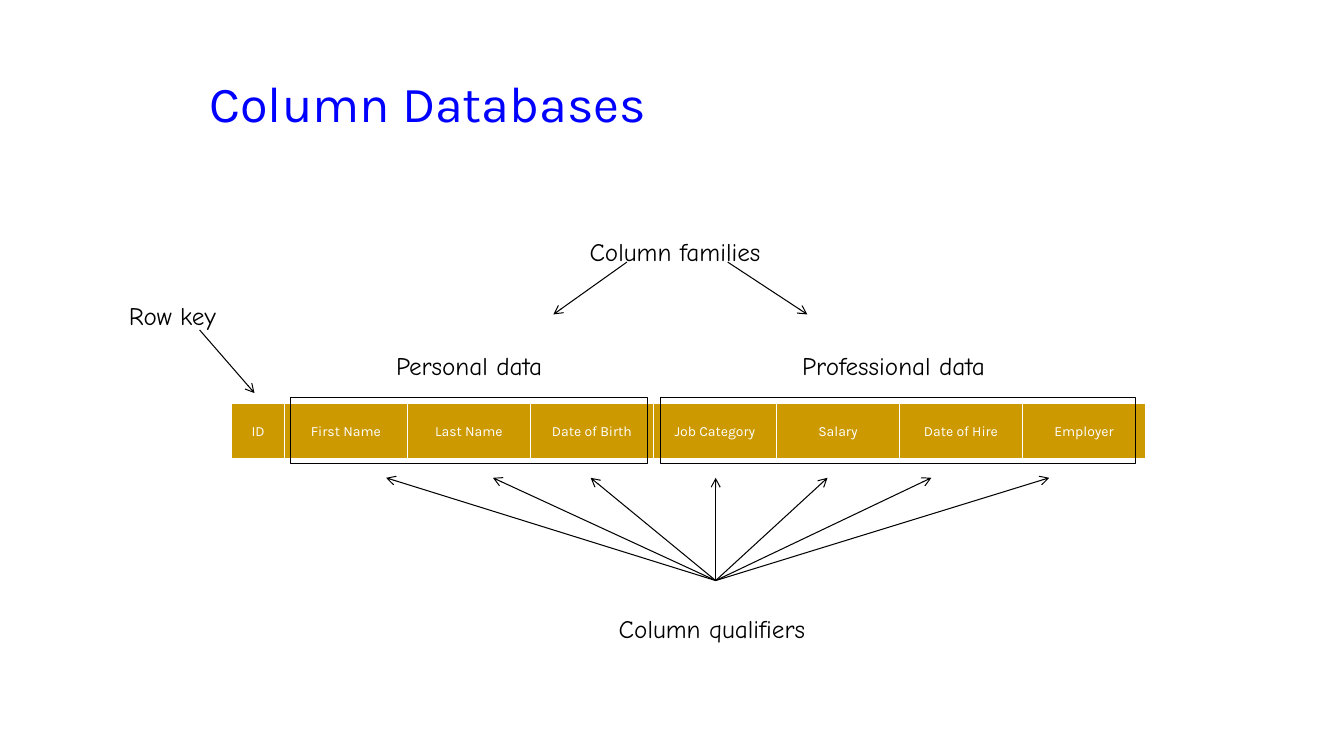
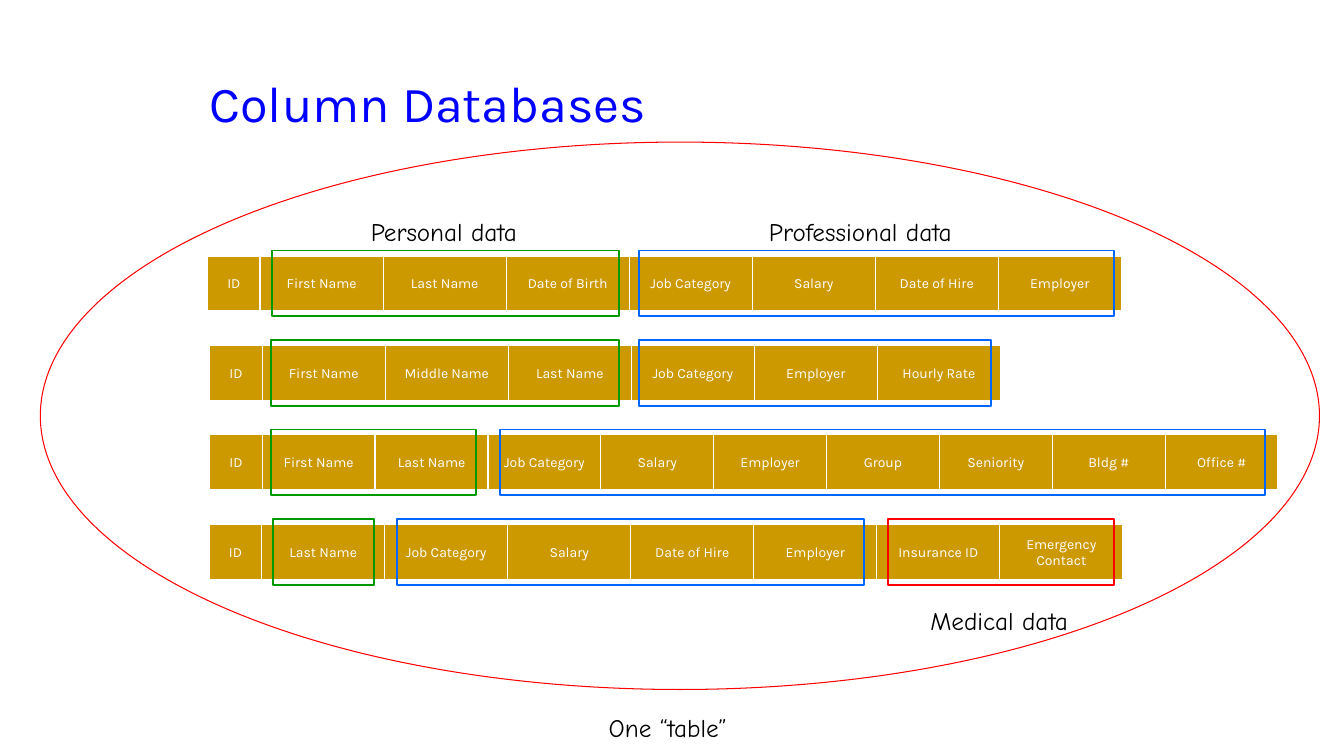
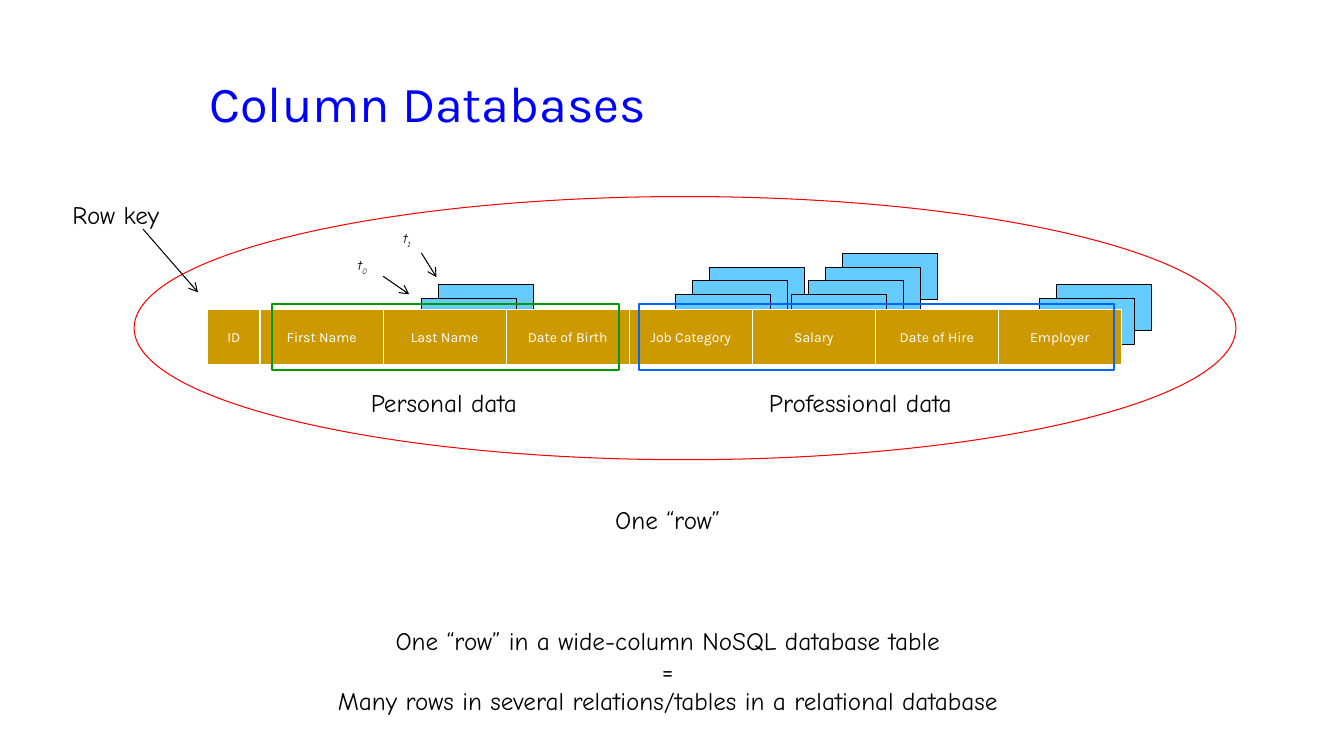
from pptx import Presentation
from pptx import util as u
from pptx.dml.color import RGBColor
from pptx.enum import shapes, text
from pptx.oxml.ns import qn
from lxml import etree

BLACK = RGBColor(0x00, 0x00, 0x00)
WHITE = RGBColor(0xFF, 0xFF, 0xFF)
TITLE_BLUE = RGBColor(0x00, 0x00, 0xFF)
GOLD = RGBColor(0xCC, 0x99, 0x00)
GREEN = RGBColor(0x00, 0x99, 0x00)
BLUE = RGBColor(0x00, 0x66, 0xFF)
RED = RGBColor(0xFF, 0x00, 0x00)
SKY = RGBColor(0x66, 0xCC, 0xFF)
LEFT, CENTER = text.PP_ALIGN.LEFT, text.PP_ALIGN.CENTER

EMPLOYEE = ["ID", "First Name", "Last Name", "Date of Birth",
            "Job Category", "Salary", "Date of Hire", "Employer"]
EMPLOYEE_FAMILIES = [(194.4, 247.7, GREEN), (456.5, 339.1, BLUE)]


class Deck:
    title_font, note_font = "Karla", "Comic Neue"
    row_height, key_width, column_width = 40.3, 37.5, 87.9

    def __init__(self):
        self.show = Presentation()
        self.show.slide_width, self.show.slide_height = u.Pt(960), u.Pt(540)
        self.slide = None

    def new_slide(self, title):
        self.slide = self.show.slides.add_slide(self.show.slide_layouts[6])
        box = self.slide.shapes.add_textbox(u.Pt(142.6), u.Pt(36.7), u.Pt(648), u.Pt(73.4))
        box.text_frame.word_wrap = True
        box.text_frame.vertical_anchor = text.MSO_ANCHOR.MIDDLE
        self.run(box.text_frame.paragraphs[0], title, self.title_font, 36, TITLE_BLUE)

    def run(self, paragraph, words, font, size, color):
        run = paragraph.add_run()
        run.text = words
        run.font.name, run.font.size = font, u.Pt(size)
        run.font.color.rgb = color
        return run

    def note(self, left, top, width, lines, align=LEFT, gap=0):
        box = self.slide.shapes.add_textbox(u.Pt(left), u.Pt(top), u.Pt(width), u.Pt(29))
        frame = box.text_frame
        frame.word_wrap = False
        frame.auto_size = text.MSO_AUTO_SIZE.SHAPE_TO_FIT_TEXT
        for index, line in enumerate(lines):
            paragraph = frame.add_paragraph() if index else frame.paragraphs[0]
            paragraph.alignment = align
            if index == 1 and gap:
                paragraph.space_before = u.Pt(gap)
            self.run(paragraph, line, self.note_font, 18, BLACK)

    def timestamp(self, left, top, index):
        box = self.slide.shapes.add_textbox(u.Pt(left), u.Pt(top), u.Pt(23), u.Pt(19.4))
        box.text_frame.word_wrap = False
        paragraph = box.text_frame.paragraphs[0]
        for words, baseline in (("t", "0"), (index, "-25000")):
            run = self.run(paragraph, words, self.note_font, 10, BLACK)
            run.font.italic = True
            run._r.get_or_add_rPr().set("baseline", baseline)

    def family_names(self, personal, professional, top):
        self.note(personal, top, 128.2, ["Personal data"])
        self.note(professional, top, 161.3, ["Professional data"])

    def row_key(self, left, top):
        self.note(left, top, 82.8, ["Row key"])
        self.arrow((left + 57.6, top + 24.7), (left + 96.8, top + 69.8))

    def arrow(self, start, end):
        line = self.slide.shapes.add_connector(
            shapes.MSO_CONNECTOR.STRAIGHT, *(u.Pt(value) for value in (*start, *end)))
        line.line.color.rgb, line.line.width = BLACK, u.Pt(0.75)
        etree.SubElement(line.line._get_or_add_ln(), qn("a:tailEnd"), type="arrow")
        etree.SubElement(line._element.spPr, qn("a:effectLst"))

    def outline(self, kind, left, top, width, height, color, weight=0.75, fill=None):
        shape = self.slide.shapes.add_shape(
            kind, *(u.Pt(value) for value in (left, top, width, height)))
        shape.shadow.inherit = False
        shape.line.color.rgb, shape.line.width = color, u.Pt(weight)
        if fill is None:
            shape.fill.background()
        else:
            shape.fill.solid()
            shape.fill.fore_color.rgb = fill

    def rectangle(self, *place, **style):
        self.outline(shapes.MSO_SHAPE.RECTANGLE, *place, **style)

    def ellipse(self, *place):
        self.outline(shapes.MSO_SHAPE.OVAL, *place, RED)

    def versions(self, left, top, count):
        for step in reversed(range(count)):
            self.rectangle(left + 12.24 * step, top - 9.85 * step, 68, 33, BLACK, fill=SKY)

    def record(self, left, top, names, column_width=column_width):
        widths = [self.key_width] + [column_width] * (len(names) - 1)
        table = self.slide.shapes.add_table(
            1, len(names), u.Pt(left), u.Pt(top), u.Pt(sum(widths)), u.Pt(self.row_height)).table
        table.first_row = table.horz_banding = False
        for index, (name, width) in enumerate(zip(names, widths)):
            table.columns[index].width = u.Pt(width)
            cell = table.cell(0, index)
            cell.margin_left = cell.margin_right = u.Pt(9.6)
            cell.margin_top = cell.margin_bottom = u.Pt(3.6)
            cell.vertical_anchor = text.MSO_ANCHOR.MIDDLE
            self.borders(cell)
            cell.fill.solid()
            cell.fill.fore_color.rgb = GOLD
            paragraph = cell.text_frame.paragraphs[0]
            paragraph.alignment = CENTER
            self.run(paragraph, name, self.title_font, 10, WHITE)

    def borders(self, cell):
        properties = cell._tc.get_or_add_tcPr()
        for side, weight in (("L", 1), ("R", 1), ("T", 1), ("B", 3)):
            border = etree.SubElement(properties, qn("a:ln" + side), w=str(u.Pt(weight)))
            fill = etree.SubElement(border, qn("a:solidFill"))
            etree.SubElement(fill, qn("a:srgbClr"), val=str(WHITE))

    def families(self, record_top, frames, weight=1.25):
        for left, width, color in frames:
            self.rectangle(left, record_top - 3.8, width, 47, color, weight=weight)


def structure(deck):
    deck.new_slide("Column Databases")
    deck.record(165.6, 288, EMPLOYEE)
    deck.family_names(275.8, 565.9, 247)
    deck.row_key(85, 211)
    deck.note(414, 164.9, 144.7, ["Column families"])
    deck.arrow((447.8, 187.2), (395.3, 224.6))
    deck.arrow((519.8, 187.2), (576.7, 224.6))
    deck.note(434.9, 434.2, 158.4, ["Column qualifiers"])
    for qualifier in (275.8, 352.1, 421.9, 511.2, 591.1, 665.3, 749.5):
        deck.arrow((511.2, 414.7), (qualifier, 341.3))
    deck.families(288, [(207.4, 254.9, BLACK), (471.6, 339.8, BLACK)], 0.75)


def one_table(deck):
    deck.new_slide("Column Databases")
    records = [
        (148.3, EMPLOYEE, 87.9, EMPLOYEE_FAMILIES),
        (149.8, ["ID", "First Name", "Middle Name", "Last Name",
                 "Job Category", "Employer", "Hourly Rate"], 87.9,
         [(193.7, 248.4, GREEN), (456.5, 251.3, BLUE)]),
        (149.8, ["ID", "First Name", "Last Name", "Job Category", "Salary", "Employer",
                 "Group", "Seniority", "Bldg #", "Office #"], 80.64,
         [(193.7, 146.2, GREEN), (357.1, 546.5, BLUE)]),
        (149.4, ["ID", "Last Name", "Job Category", "Salary", "Date of Hire",
                 "Employer", "Insurance ID", "Emergency Contact"], 87.9,
         [(195.1, 72, GREEN), (283.7, 333.4, BLUE), (634.3, 161.3, RED)]),
    ]
    for index, (left, names, column_width, frames) in enumerate(records):
        top = 182.8 + 63.9 * index
        deck.record(left, top, names, column_width)
        deck.families(top, frames)
    deck.family_names(257.8, 542.2, 151.2)
    deck.note(657.4, 429.1, 123.1, ["Medical data"])
    deck.ellipse(28.8, 101.5, 913.7, 391)
    deck.note(421.2, 505.4, 111.6, ["One “table”"], CENTER)


def one_row(deck):
    deck.new_slide("Column Databases")
    for left, top, count in ((301, 213, 2), (742.3, 213, 2), (482.4, 210.5, 3), (565.2, 210.5, 4)):
        deck.versions(left, top, count)
    deck.timestamp(280.8, 160.6, "1")
    deck.arrow((301, 180.7), (311.8, 198))
    deck.timestamp(248.4, 180, "0")
    deck.arrow((273.6, 197.3), (292.3, 210.2))
    deck.record(148.3, 221.2, EMPLOYEE)
    deck.ellipse(95.8, 140.4, 787, 188)
    deck.note(210.2, 356.4, 533.5, [
        "One “row”",
        "One “row” in a wide-column NoSQL database table",
        "=",
        "Many rows in several relations/tables in a relational database",
    ], CENTER, gap=65)
    deck.families(221.2, EMPLOYEE_FAMILIES)
    deck.family_names(257.8, 542.2, 272.9)
    deck.row_key(44.6, 139)


def main():
    deck = Deck()
    for build in (structure, one_table, one_row):
        build(deck)
    deck.show.save("out.pptx")


if __name__ == "__main__":
    main()
